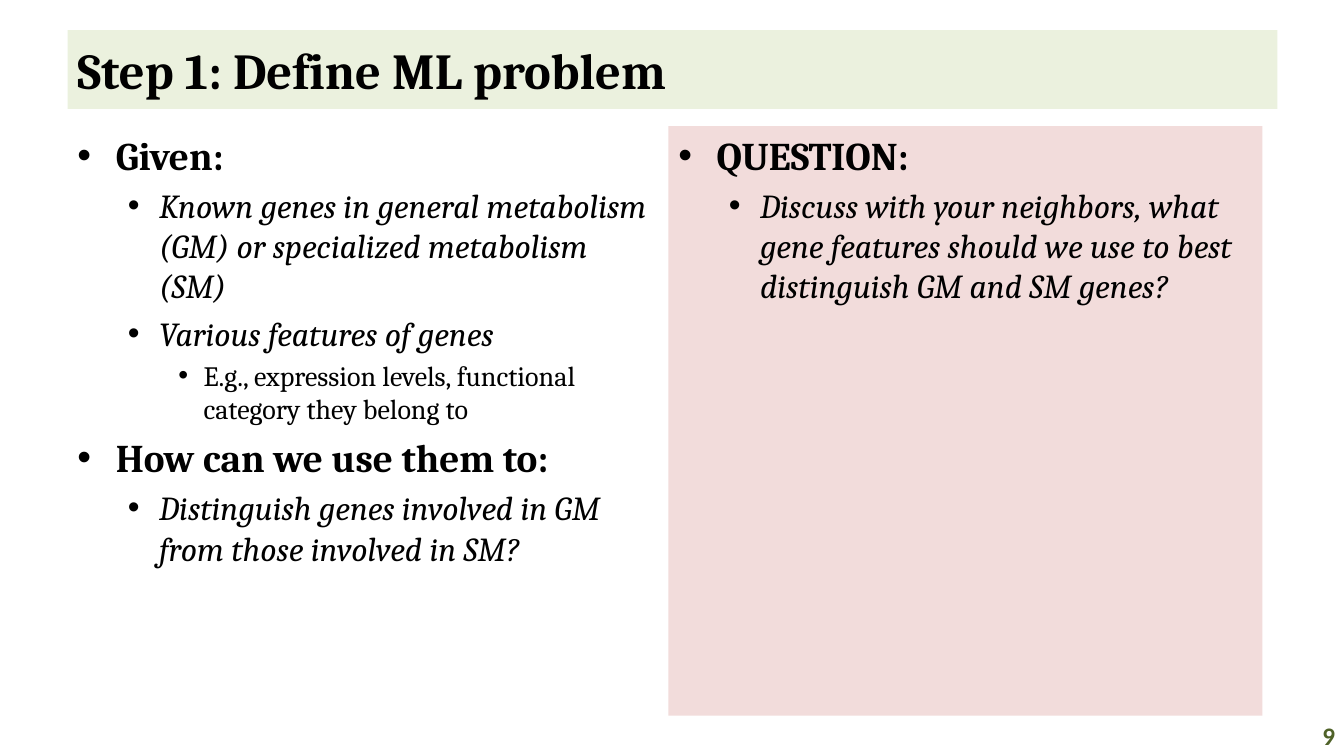
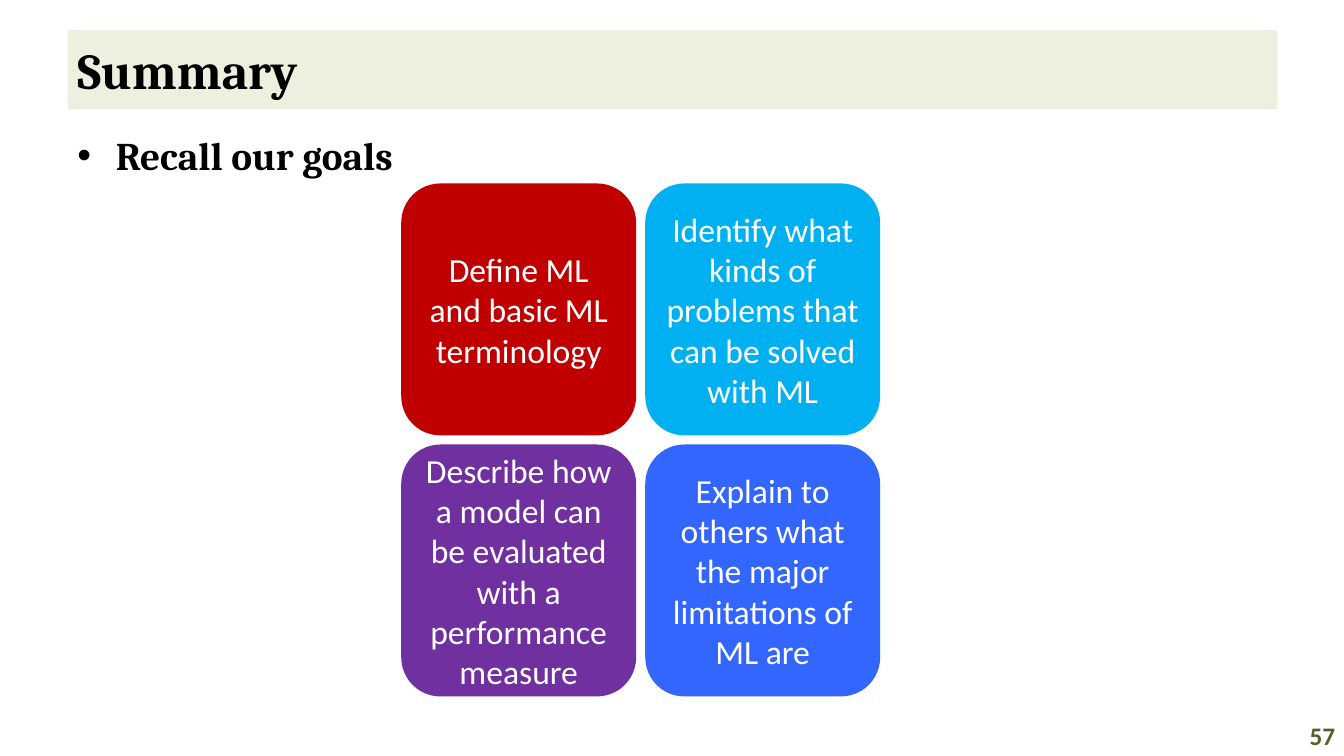
from dataclasses import dataclass

from lxml.etree import SubElement
from pptx import Presentation
from pptx.dml.color import RGBColor
from pptx.enum.shapes import MSO_SHAPE
from pptx.enum.text import MSO_ANCHOR, PP_ALIGN
from pptx.oxml.ns import qn
from pptx.util import Inches, Pt


@dataclass(frozen=True)
class Theme:
    serif: str = "Cambria"
    sans: str = "Calibri"
    ink: str = "000000"
    white: str = "FFFFFF"
    page_ink: str = "4F6228"
    title_band: str = "EBF1DE"
    question_panel: str = "F2DCDB"
    goal_fills: tuple = ("C00000", "00B0F0", "7030A0", "3366FF")
    title_size: int = 36
    page_size: int = 18
    goal_size: int = 24
    # Outline levels: size, bold, italic, left margin, hanging indent
    levels: tuple = (
        (28, True, False, 0.38, 0.38),
        (24, False, True, 0.81, 0.31),
        (20, False, False, 1.25, 0.25),
    )


theme = Theme()


def add_panel(slide, box, fill=None, preset=MSO_SHAPE.RECTANGLE, anchor=MSO_ANCHOR.MIDDLE):
    """Add a filled shape, or a plain text box when there is no fill."""
    place = [Inches(length) for length in box]
    if fill:
        shape = slide.shapes.add_shape(preset, *place)
        shape.shadow.inherit = False
        shape.fill.solid()
        shape.fill.fore_color.rgb = RGBColor.from_string(fill)
        shape.line.fill.background()
    else:
        shape = slide.shapes.add_textbox(*place)
    shape.text_frame.word_wrap = True
    shape.text_frame.vertical_anchor = anchor
    return shape


def write(shape, text, *, size, font=theme.serif, color=theme.ink, bold=False,
          italic=False, align=PP_ALIGN.LEFT, margin=None, hanging=0):
    """Write a paragraph; a margin makes it a bulleted one."""
    frame = shape.text_frame
    first = not frame.text
    paragraph = frame.paragraphs[0] if first else frame.add_paragraph()
    paragraph.alignment = align
    if margin is not None:
        if not first:
            paragraph.space_before = Pt(size * 0.2)
        properties = paragraph._p.get_or_add_pPr()
        properties.set("marL", str(Inches(margin)))
        properties.set("indent", str(-Inches(hanging)))
        SubElement(properties, qn("a:buFont"), typeface="Arial")
        SubElement(properties, qn("a:buChar"), char="•")
    run = paragraph.add_run()
    run.text = text
    run.font.name = font
    run.font.size = Pt(size)
    run.font.bold = bold
    run.font.italic = italic
    run.font.color.rgb = RGBColor.from_string(color)


# Content
left_box = (0.67, 1.25, 5.89, 5.85)
right_box = (6.63, 1.25, 5.89, 5.85)

pages = [
    ("Step 1: Define ML problem", "9", [
        (left_box, None, [
            (0, "Given:"),
            (1, "Known genes in general metabolism (GM) or specialized metabolism (SM)"),
            (1, "Various features of genes"),
            (2, "E.g., expression levels, functional category they belong to"),
            (0, "How can we use them to:"),
            (1, "Distinguish genes involved in GM from those involved in SM?"),
        ]),
        (right_box, theme.question_panel, [
            (0, "QUESTION:"),
            (1, "Discuss with your neighbors, what gene features should we use "
                "to best distinguish GM and SM genes?"),
        ]),
    ]),
    ("Summary", "57", [(left_box, None, [(0, "Recall our goals")])]),
]

goals = [
    "Define ML and basic ML terminology",
    "Identify what kinds of problems that can be solved with ML",
    "Describe how a model can be evaluated with a performance measure",
    "Explain to others what the major limitations of ML are",
]

presentation = Presentation()
presentation.slide_width = Inches(13.33)
presentation.slide_height = Inches(7.5)

# Title band, page number and outlines on every slide
for title, number, outlines in pages:
    slide = presentation.slides.add_slide(presentation.slide_layouts[6])
    band = add_panel(slide, (0.67, 0.3, 12, 0.78), theme.title_band)
    write(band, title, size=theme.title_size, bold=True)
    page_number = add_panel(slide, (12.67, 7.1, 0.67, 0.4))
    write(page_number, number, size=theme.page_size, font=theme.sans,
          color=theme.page_ink, bold=True, align=PP_ALIGN.RIGHT)
    for box, fill, entries in outlines:
        outline = add_panel(slide, box, fill, anchor=MSO_ANCHOR.TOP)
        for level, text in entries:
            size, bold, italic, margin, hanging = theme.levels[level]
            write(outline, text, size=size, bold=bold, italic=italic,
                  margin=margin, hanging=hanging)

# Two-by-two grid of goals on the summary slide
goal_width, goal_height, gap = 2.33, 2.5, 0.09
for index, (goal, fill) in enumerate(zip(goals, theme.goal_fills)):
    row, column = divmod(index, 2)
    box = (3.98 + column * (goal_width + gap), 1.82 + row * (goal_height + gap),
           goal_width, goal_height)
    tile = add_panel(slide, box, fill, MSO_SHAPE.ROUNDED_RECTANGLE)
    write(tile, goal, size=theme.goal_size, font=theme.sans,
          color=theme.white, align=PP_ALIGN.CENTER)

presentation.save("out.pptx")
